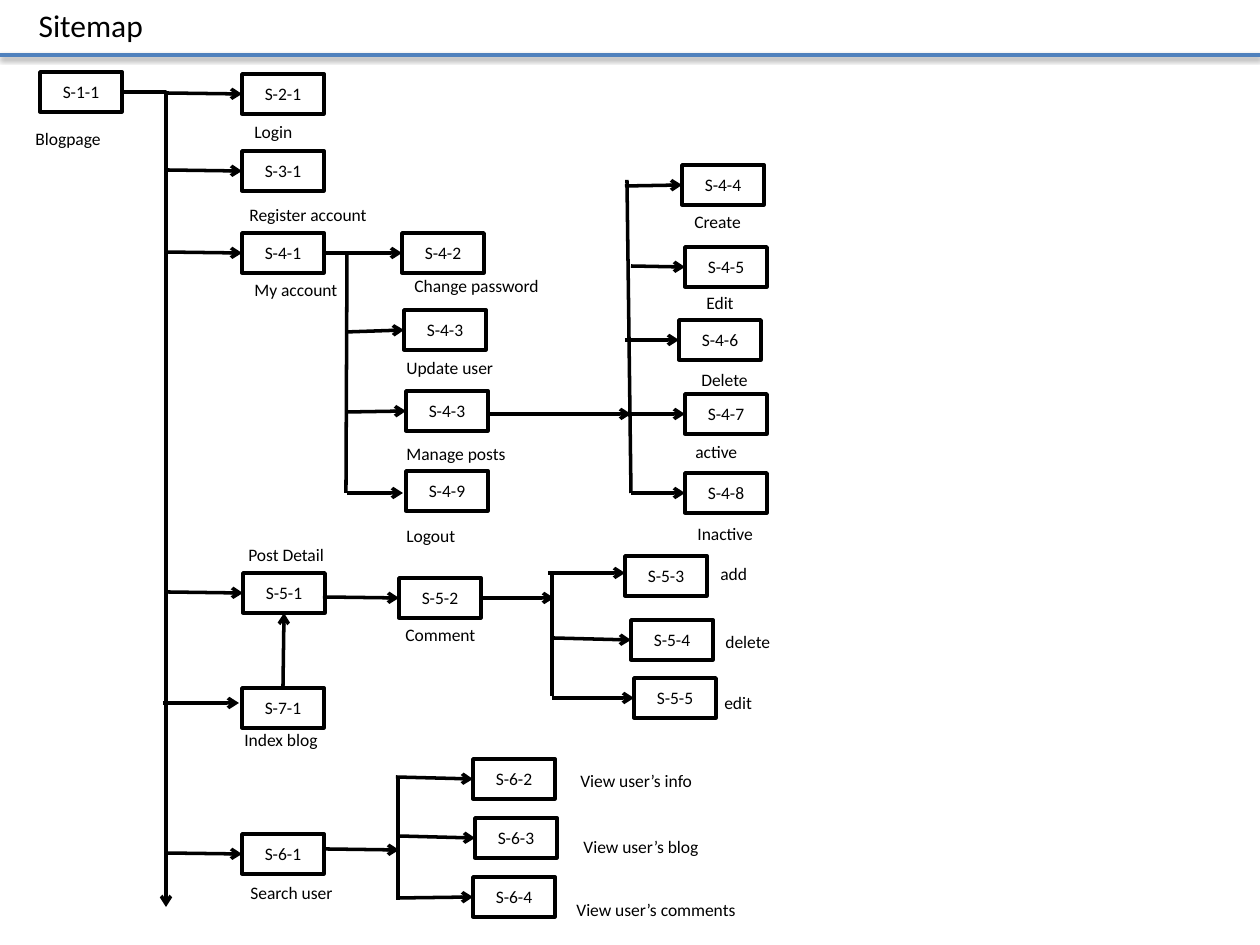
from lxml import etree
from pptx import Presentation
from pptx.dml.color import RGBColor
from pptx.enum.shapes import MSO_CONNECTOR as Connector, MSO_SHAPE as Shape
from pptx.enum.text import MSO_ANCHOR as Anchor, MSO_AUTO_SIZE as AutoSize, PP_ALIGN as Align
from pptx.oxml import parse_xml
from pptx.oxml.ns import qn
from pptx.util import Emu, Pt

BLACK = RGBColor(0x00, 0x00, 0x00)
WHITE = RGBColor(0xFF, 0xFF, 0xFF)
BLUE = RGBColor(0x4F, 0x81, 0xBD)
FONT = "Calibri"
EMU_PER_PX = 914400 / 126
BOX_WIDTH, BOX_HEIGHT = 82, 40
LABEL_HEIGHT = 34
JOIN_REACH = 2

SHADOW = """<a:effectLst xmlns:a="http://schemas.openxmlformats.org/drawingml/2006/main">
<a:outerShdw blurRad="39370" dist="20320" dir="5400000" rotWithShape="0">
<a:srgbClr val="000000"><a:alpha val="38000"/></a:srgbClr></a:outerShdw></a:effectLst>"""

# Pages: code, left, top
PAGES = [
    ("S-1-1", 40, 72), ("S-2-1", 242, 74), ("S-3-1", 242, 151),
    ("S-4-1", 242, 233), ("S-4-2", 402, 233), ("S-4-3", 404, 310),
    ("S-4-3", 406, 391), ("S-4-9", 406, 471), ("S-4-4", 682, 165),
    ("S-4-5", 685, 247), ("S-4-6", 679, 320), ("S-4-7", 685, 394),
    ("S-4-8", 685, 473), ("S-5-1", 243, 573), ("S-5-2", 399, 578),
    ("S-5-3", 625, 556), ("S-5-4", 631, 620), ("S-5-5", 634, 678),
    ("S-7-1", 242, 688), ("S-6-1", 242, 834), ("S-6-2", 473, 759),
    ("S-6-3", 475, 818), ("S-6-4", 473, 877),
]

# Page names: text, left, top, width
LABELS = [
    ("Blogpage", 23, 122, 92), ("Login", 242, 115, 64),
    ("Register account", 237, 198, 145), ("My account", 242, 273, 110),
    ("Change password", 402, 269, 151), ("Update user", 394, 351, 113),
    ("Manage posts", 394, 437, 126), ("Logout", 394, 519, 76),
    ("Create", 682, 205, 73), ("Edit", 694, 286, 53),
    ("Delete", 689, 363, 73), ("active", 683, 435, 68),
    ("Inactive", 685, 517, 82), ("Post Detail", 236, 538, 102),
    ("Comment", 393, 618, 97), ("add", 708, 557, 76),
    ("delete", 713, 625, 71), ("edit", 712, 686, 53),
    ("Index blog", 232, 723, 100), ("Search user", 238, 876, 108),
    ("View user’s info", 568, 764, 139), ("View user’s blog", 571, 830, 142),
    ("View user’s comments", 564, 893, 188),
]

# Arrows: start x, start y, end x, end y
ARROWS = [
    # Trunk to the main pages
    (165, 93, 242, 93), (165, 170, 242, 170), (165, 252, 242, 252),
    (166, 592, 243, 592), (163, 703, 239, 703), (165, 853, 242, 853),
    # My account
    (325, 252, 402, 252), (346, 332, 402, 332), (347, 412, 404, 412),
    (347, 493, 403, 493),
    # Manage posts
    (487, 414, 631, 414), (625, 186, 682, 185), (631, 266, 685, 266),
    (625, 340, 679, 340), (631, 414, 685, 414), (631, 493, 685, 493),
    # Post detail and comments
    (284, 688, 284, 613), (323, 597, 399, 597), (481, 597, 554, 598),
    (548, 573, 625, 573), (554, 638, 631, 638), (552, 698, 634, 696),
    # Search user
    (326, 849, 399, 850), (396, 777, 473, 777), (398, 836, 475, 836),
    (398, 898, 475, 898),
]

# Branch stems: start x, start y, end x, end y
STEMS = [(347, 253, 346, 493), (627, 180, 631, 493),
         (552, 572, 552, 696), (398, 776, 398, 900)]


def px(length):
    return Emu(round(length * EMU_PER_PX))


def style_text(box, size, align):
    para = box.text_frame.paragraphs[0]
    para.alignment = align
    para.font.size = Pt(size)
    para.font.name = FONT
    para.font.color.rgb = BLACK


def fit_to_text(box):
    box.text_frame.word_wrap = False
    box.text_frame.auto_size = AutoSize.SHAPE_TO_FIT_TEXT
    box.text_frame.vertical_anchor = Anchor.TOP


def add_title(slide, text):
    title = slide.shapes.title
    title.left, title.top, title.width, title.height = px(26), px(0), px(131), px(50)
    title.text_frame.text = text
    fit_to_text(title)
    style_text(title, 18, Align.LEFT)


def add_page(slide, code, left, top):
    box = slide.shapes.add_shape(Shape.RECTANGLE, px(left), px(top),
                                 px(BOX_WIDTH), px(BOX_HEIGHT))
    box.shadow.inherit = False
    box.fill.solid()
    box.fill.fore_color.rgb = WHITE
    box.line.color.rgb = BLACK
    box.line.width = Pt(2)
    box.text_frame.text = code
    box.text_frame.vertical_anchor = Anchor.MIDDLE
    style_text(box, 10, Align.CENTER)
    return box


def add_label(slide, text, left, top, width):
    box = slide.shapes.add_textbox(px(left), px(top), px(width), px(LABEL_HEIGHT))
    box.text_frame.text = text
    fit_to_text(box)
    style_text(box, 10, Align.LEFT)


def add_line(slide, ends, color=BLACK, kind=Connector.STRAIGHT, arrow=False):
    line = slide.shapes.add_connector(kind, *map(px, ends))
    line.line.color.rgb = color
    line.line.width = Pt(2)
    if arrow:
        etree.SubElement(line.line._get_or_add_ln(), qn("a:tailEnd"), type="arrow")
    etree.SubElement(line._element.spPr, qn("a:effectLst"))
    return line


def find_side(boxes, x, y):
    """Return the box and side whose middle lies at the point, if any."""
    for box, (_, left, top) in zip(boxes, PAGES):
        middle_x, middle_y = left + BOX_WIDTH / 2, top + BOX_HEIGHT / 2
        sides = [(middle_x, top), (left, middle_y),
                 (middle_x, top + BOX_HEIGHT), (left + BOX_WIDTH, middle_y)]
        for side, (side_x, side_y) in enumerate(sides):
            if max(abs(x - side_x), abs(y - side_y)) <= JOIN_REACH:
                return box, side
    return None


def add_arrow(slide, boxes, ends):
    arrow = add_line(slide, ends, arrow=True)
    start, end = find_side(boxes, *ends[:2]), find_side(boxes, *ends[2:])
    if start:
        arrow.begin_connect(*start)
    if end:
        arrow.end_connect(*end)


def main():
    deck = Presentation()
    deck.slide_width, deck.slide_height = px(1260), px(945)
    slide = deck.slides.add_slide(deck.slide_layouts[5])

    # Heading with its shadowed rule
    add_title(slide, "Sitemap")
    rule = add_line(slide, (0, 55, 1260, 55), BLUE)
    properties = rule._element.spPr
    properties.replace(properties.find(qn("a:effectLst")), parse_xml(SHADOW))

    # Pages and their names
    boxes = [add_page(slide, *page) for page in PAGES]
    for label in LABELS:
        add_label(slide, *label)

    # Trunk: one bend, right and then down
    trunk = add_line(slide, (122, 92, 166, 907), kind=Connector.ELBOW, arrow=True)
    trunk._element.spPr.find(qn("a:prstGeom")).set("prst", "bentConnector2")

    # Branches
    for stem in STEMS:
        add_line(slide, stem)
    for ends in ARROWS:
        add_arrow(slide, boxes, ends)

    deck.save("out.pptx")


if __name__ == "__main__":
    main()
